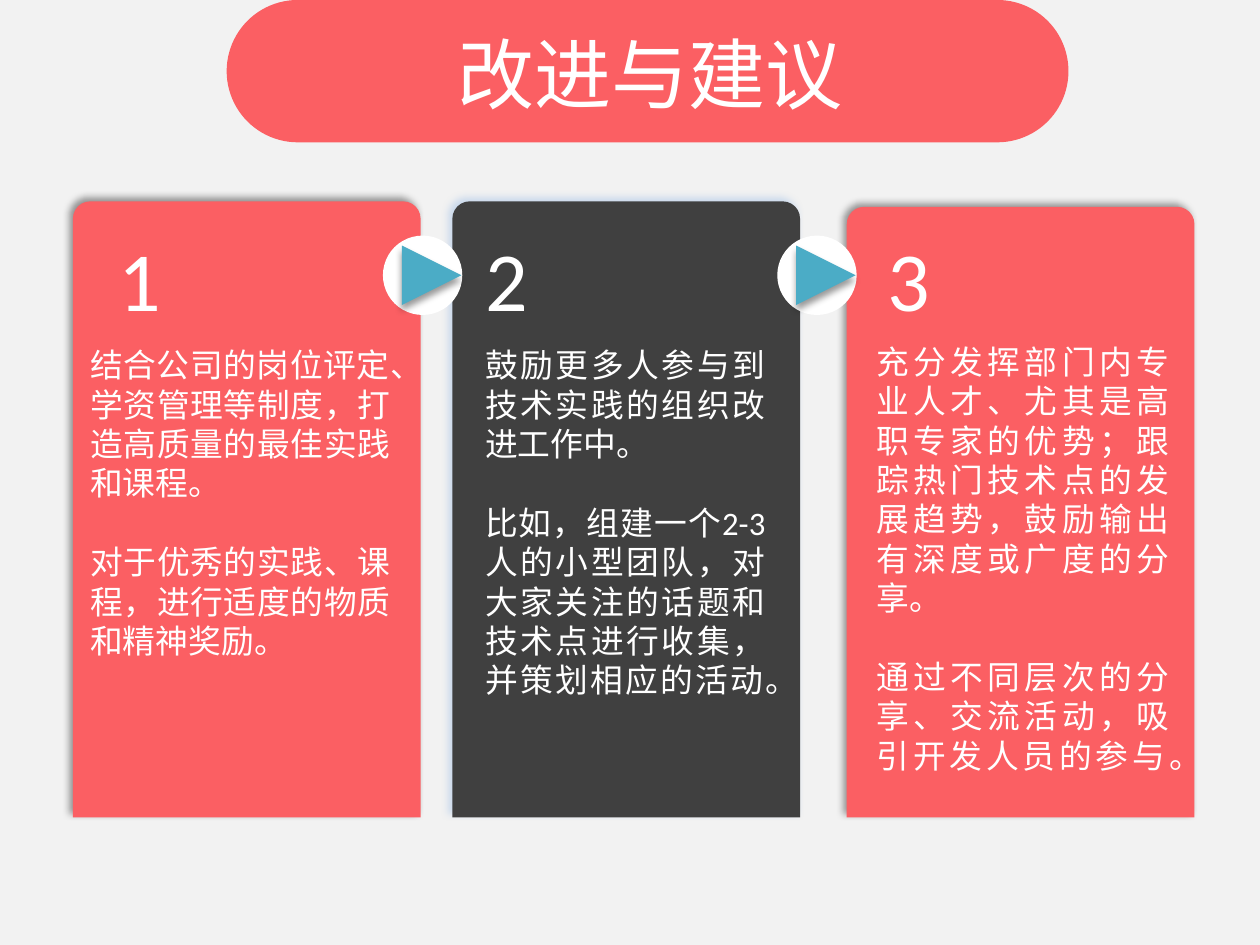
import lxml.etree
import pptx
import pptx.dml.color
import pptx.enum.shapes
import pptx.enum.text
import pptx.oxml
import pptx.oxml.ns
import pptx.util

Cm = pptx.util.Cm
Pt = pptx.util.Pt
Form = pptx.enum.shapes.MSO_SHAPE
Align = pptx.enum.text.PP_ALIGN

HUES = {"back": "F2F2F2", "red": "FB5F63", "dark": "404040", "white": "FFFFFF",
        "teal": "4BACC6", "black": "000000", "blue": "8EB4E3"}
HAN = "Noto Sans CJK SC"
LATIN = "Calibri"

CARDS = [
    dict(box=(1.47, 4.06, 7.01, 12.42), hue="red", glow="black", num="1",
         num_at=(0.66, 0.41), text_at=(0.1, 2.77, 6.55), font=HAN,
         paras=["结合公司的岗位评定、学资管理等制度，打造高质量的最佳实践和课程。",
                "对于优秀的实践、课程，进行适度的物质和精神奖励。"]),
    dict(box=(9.12, 4.06, 7.01, 12.42), hue="dark", glow="blue", num="2",
         num_at=(0.41, 0.41), text_at=(0.41, 2.77, 6.15), font=LATIN,
         paras=["鼓励更多人参与到技术实践的组织改进工作中。",
                "比如，组建一个2-3人的小型团队，对大家关注的话题和技术点进行收集，"
                "并策划相应的活动。"]),
    dict(box=(17.07, 4.17, 7.01, 12.31), hue="red", glow="black", num="3",
         num_at=(0.58, 0.3), text_at=(0.35, 2.59, 6.4), font=HAN,
         paras=["充分发挥部门内专业人才、尤其是高职专家的优势；跟踪热门技术点的发展趋势，"
                "鼓励输出有深度或广度的分享。",
                "通过不同层次的分享、交流活动，吸引开发人员的参与。"]),
]


def color(hue):
    return pptx.dml.color.RGBColor.from_string(HUES[hue])


def shade(shape, hue, angle):
    """Give a shape a soft outer shadow."""
    tag = pptx.oxml.ns.qn
    list_ = shape._element.spPr.find(tag("a:effectLst"))
    cast = lxml.etree.SubElement(list_, tag("a:outerShdw"), blurRad=str(Pt(4)),
                                 dist=str(Pt(3)), dir=str(angle * 60000),
                                 rotWithShape="0")
    tint = lxml.etree.SubElement(cast, tag("a:srgbClr"), val=HUES[hue])
    lxml.etree.SubElement(tint, tag("a:alpha"), val="40000")


def draw(slide, form, box, hue):
    shape = slide.shapes.add_shape(form, *map(Cm, box))
    shape.shadow.inherit = False
    shape.fill.solid()
    shape.fill.fore_color.rgb = color(hue)
    shape.line.fill.background()
    return shape


def write(slide, box, paras, size, font, align=Align.LEFT, pitch=None, wrap=True):
    frame = slide.shapes.add_textbox(*map(Cm, box)).text_frame
    frame.word_wrap = wrap
    for i, text in enumerate(paras):
        para = frame.paragraphs[0] if i == 0 else frame.add_paragraph()
        para.text = text
        para.alignment = align
        para.font.size = Pt(size)
        para.font.name = font
        para.font.color.rgb = color("white")
        if pitch:
            para.line_spacing = Pt(pitch)
            if i:
                para.space_before = Pt(pitch)


def banner(slide, box):
    left, top, width, height = box
    draw(slide, Form.ROUNDED_RECTANGLE, box, "red").adjustments[0] = 0.5
    write(slide, (left + 1.98, top + 0.41, width - 3.86, 2.13), ["改进与建议"],
          44, HAN, Align.CENTER, 53)


def card(slide, box, hue, glow, num, num_at, text_at, font, paras):
    left, top, width, height = box
    panel = draw(slide, Form.ROUND_2_SAME_RECTANGLE, box, hue)
    panel.adjustments[0] = 0.05
    panel.adjustments[1] = 0
    shade(panel, glow, 225)
    # Body and number
    dx, dy, wide = text_at
    write(slide, (left + dx, top + dy, wide, height - dy), paras, 18.7, font,
          Align.JUSTIFY, 22.5)
    dx, dy = num_at
    write(slide, (left + dx, top + dy, 1.37, 2.31), [num], 48, LATIN, wrap=False)


def arrow(slide, box):
    left, top, size, _ = box
    draw(slide, Form.OVAL, box, "white")
    tip = draw(slide, Form.ISOSCELES_TRIANGLE,
               (left + 0.38, top + 0.2, size - 0.4, size - 0.4), "teal")
    tip.rotation = 90
    shade(tip, "black", 90)


deck = pptx.Presentation()
deck.slide_width, deck.slide_height = Cm(25.4), Cm(19.05)
slide = deck.slides.add_slide(deck.slide_layouts[6])
slide.background.fill.solid()
slide.background.fill.fore_color.rgb = color("back")

# Three cards, the title and the arrows between cards
for item in CARDS:
    card(slide, **item)
banner(slide, (4.57, 0, 16.97, 2.87))
for left in (7.72, 15.67):
    arrow(slide, (left, 4.75, 1.6, 1.6))

deck.save("out.pptx")
